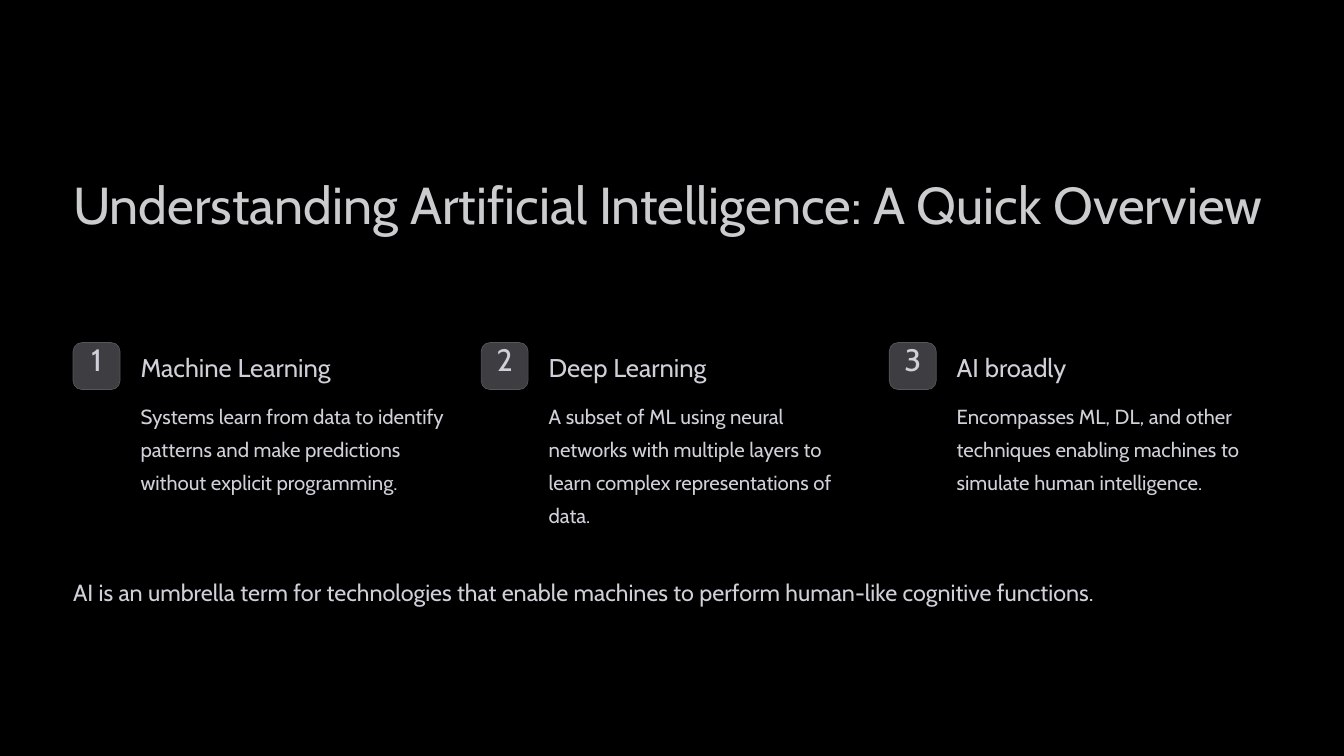
from pptx import Presentation
from pptx.dml.color import RGBColor
from pptx.enum.shapes import MSO_SHAPE
from pptx.enum.text import MSO_ANCHOR, MSO_AUTO_SIZE, PP_ALIGN
from pptx.util import Cm, Pt

BLACK = RGBColor(0x00, 0x00, 0x00)
TITLE_GREY = RGBColor(0xCB, 0xCC, 0xCE)
TEXT_GREY = RGBColor(0xCF, 0xD0, 0xD8)
BADGE_FILL = RGBColor(0x3D, 0x3D, 0x42)
BADGE_LINE = RGBColor(0x56, 0x56, 0x5B)

LEFT = 2.21
FULL_WIDTH = 36.22
COLUMN_PITCH = 12.34

TOPICS = [
    ("Machine Learning",
     "Systems learn from data to identify patterns and make predictions "
     "without explicit programming."),
    ("Deep Learning",
     "A subset of ML using neural networks with multiple layers to learn "
     "complex representations of data."),
    ("AI broadly",
     "Encompasses ML, DL, and other techniques enabling machines to "
     "simulate human intelligence."),
]


class Slide:
    """Holds the text style and the current page."""

    font = "Cabin"

    def __init__(self, deck):
        self.page = deck.slides.add_slide(deck.slide_layouts[6])
        self.page.background.fill.solid()
        self.page.background.fill.fore_color.rgb = BLACK

    def text(self, text, left, top, width, height, *, size, spacing,
             color=TEXT_GREY, align=PP_ALIGN.LEFT, wrap=False):
        box = self.page.shapes.add_textbox(
            Cm(left), Cm(top), Cm(width), Cm(height))
        frame = box.text_frame
        frame.word_wrap = wrap
        frame.auto_size = MSO_AUTO_SIZE.NONE
        frame.vertical_anchor = MSO_ANCHOR.TOP
        frame.margin_left = frame.margin_right = 0
        frame.margin_top = frame.margin_bottom = 0
        para = frame.paragraphs[0]
        para.alignment = align
        para.line_spacing = Pt(spacing)
        span = para.add_run()
        span.text = text
        span.font.name = self.font
        span.font.size = Pt(size)
        span.font.color.rgb = color

    def badge(self, left, top, side):
        badge = self.page.shapes.add_shape(
            MSO_SHAPE.ROUNDED_RECTANGLE, Cm(left), Cm(top), Cm(side), Cm(side))
        badge.adjustments[0] = 0.19
        badge.shadow.inherit = False
        badge.fill.solid()
        badge.fill.fore_color.rgb = BADGE_FILL
        badge.line.color.rgb = BADGE_LINE
        badge.line.width = Pt(0.6)

    def topic(self, number, left, heading, body):
        self.badge(left, 10.36, 1.42)
        self.text(str(number), left + 0.24, 10.49, 0.94, 1.19,
                  size=26.5, spacing=26.5, align=PP_ALIGN.CENTER)
        self.text(heading, left + 2.04, 10.59, 7.87, 0.99,
                  size=22, spacing=27.5)
        self.text(body, left + 2.04, 11.94, 9.5, 4.04,
                  size=17.5, spacing=28.5, wrap=True)


def main():
    deck = Presentation()
    deck.slide_width = Cm(40.64)
    deck.slide_height = Cm(22.86)
    slide = Slide(deck)

    # Title
    slide.text("Understanding Artificial Intelligence: A Quick Overview",
               LEFT, 5.16, FULL_WIDTH, 3.94,
               size=44.5, spacing=55.5, color=TITLE_GREY, wrap=True)

    # Three numbered topics
    for index, (heading, body) in enumerate(TOPICS):
        slide.topic(index + 1, LEFT + index * COLUMN_PITCH, heading, body)

    # Closing statement
    slide.text("AI is an umbrella term for technologies that enable machines "
               "to perform human-like cognitive functions.",
               LEFT, 17.32, FULL_WIDTH, 1.83, size=20, spacing=28.5)

    deck.save("out.pptx")


if __name__ == "__main__":
    main()
